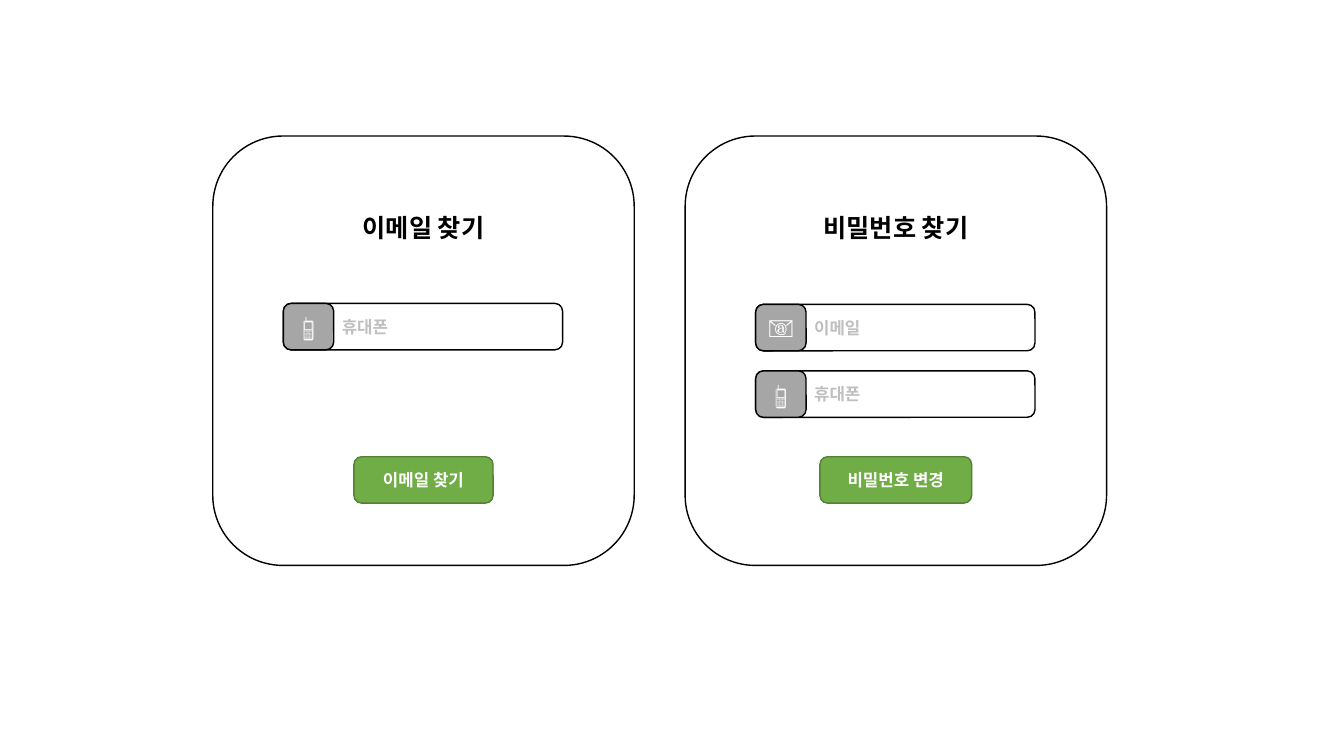
from lxml import etree
from pptx import Presentation
from pptx.dml.color import RGBColor
from pptx.enum.shapes import MSO_SHAPE as SHAPE
from pptx.enum.text import MSO_ANCHOR as ANCHOR, PP_ALIGN as ALIGN
from pptx.oxml.ns import qn
from pptx.util import Pt

FONT = "Noto Sans CJK KR"
COLORS = {
    "black": "000000",
    "white": "FFFFFF",
    "icon": "A6A6A6",
    "hint": "BFBFBF",
    "button": "70AD47",
    "button_line": "538035",
}
CARD_TOP, CARD_W, CARD_H = 97.2, 301, 306.7
TITLE_TOP, TITLE_W, TITLE_H = 138.2, 159, 49
FIELD_INSET, FIELD_W, FIELD_H = 50.4, 199.5, 33.2
FIELD_PITCH = 47.5
ICON_W = 36
HINT_INSET, HINT_W, HINT_H = 27.8, 61, 18.8
BUTTON_TOP = 326.2


def rgb(name):
    return RGBColor.from_string(COLORS[name])


def add_text(sp, text, size, color, bold=True):
    tf = sp.text_frame
    tf.text = text
    tf.word_wrap = True
    tf.vertical_anchor = ANCHOR.MIDDLE
    p = tf.paragraphs[0]
    p.alignment = ALIGN.CENTER
    font = p.runs[0].font
    font.name, font.size, font.bold = FONT, Pt(size), bold
    font.color.rgb = rgb(color)
    # Hangul takes its typeface from the East Asian font
    latin = p.runs[0]._r.rPr.find(qn("a:latin"))
    ea = etree.Element(qn("a:ea"), typeface=FONT)
    latin.addnext(ea)


def add_box(slide, kind, box, fill=None, line=None):
    sp = slide.shapes.add_shape(kind, *map(Pt, box))
    sp.shadow.inherit = False
    if fill:
        sp.fill.solid()
        sp.fill.fore_color.rgb = rgb(fill)
    else:
        sp.fill.background()
    if line:
        sp.line.color.rgb = rgb(line)
        sp.line.width = Pt(1)
    else:
        sp.line.fill.background()
    return sp


def add_field(slide, left, top, icon, hint):
    """Input field with an icon at its left end and a grey hint."""
    add_box(slide, SHAPE.ROUNDED_RECTANGLE, (left, top, FIELD_W, FIELD_H),
            "white", "black")
    sp = add_box(slide, SHAPE.ROUNDED_RECTANGLE, (left, top, ICON_W, FIELD_H),
                 "icon", "black")
    add_text(sp, icon, 18, "white", bold=False)
    hint_top = top + (FIELD_H - HINT_H) / 2
    hint_box = slide.shapes.add_textbox(
        *map(Pt, (left + HINT_INSET, hint_top, HINT_W, HINT_H)))
    add_text(hint_box, hint, 12, "hint")


def add_card(slide, left, title, fields_top, fields, button, button_w):
    center = left + CARD_W / 2
    add_box(slide, SHAPE.ROUNDED_RECTANGLE, (left, CARD_TOP, CARD_W, CARD_H),
            line="black")
    sp = add_box(slide, SHAPE.RECTANGLE,
                 (center - TITLE_W / 2, TITLE_TOP, TITLE_W, TITLE_H), "white")
    add_text(sp, title, 18, "black")
    for i, (icon, hint) in enumerate(fields):
        add_field(slide, left + FIELD_INSET, fields_top + i * FIELD_PITCH,
                  icon, hint)
    sp = add_box(slide, SHAPE.ROUNDED_RECTANGLE,
                 (center - button_w / 2, BUTTON_TOP, button_w, FIELD_H),
                 "button", "button_line")
    add_text(sp, button, 12, "white")


def main():
    prs = Presentation()
    prs.slide_width, prs.slide_height = Pt(960), Pt(540)
    slide = prs.slides.add_slide(prs.slide_layouts[6])
    email, phone = ("📧", "이메일"), ("📱", "휴대폰")
    add_card(slide, 152, "이메일 찾기", 216.7, [phone], "이메일 찾기", 99.4)
    add_card(slide, 489.4, "비밀번호 찾기", 217.4, [email, phone],
             "비밀번호 변경", 108.4)
    prs.save("out.pptx")


if __name__ == "__main__":
    main()
